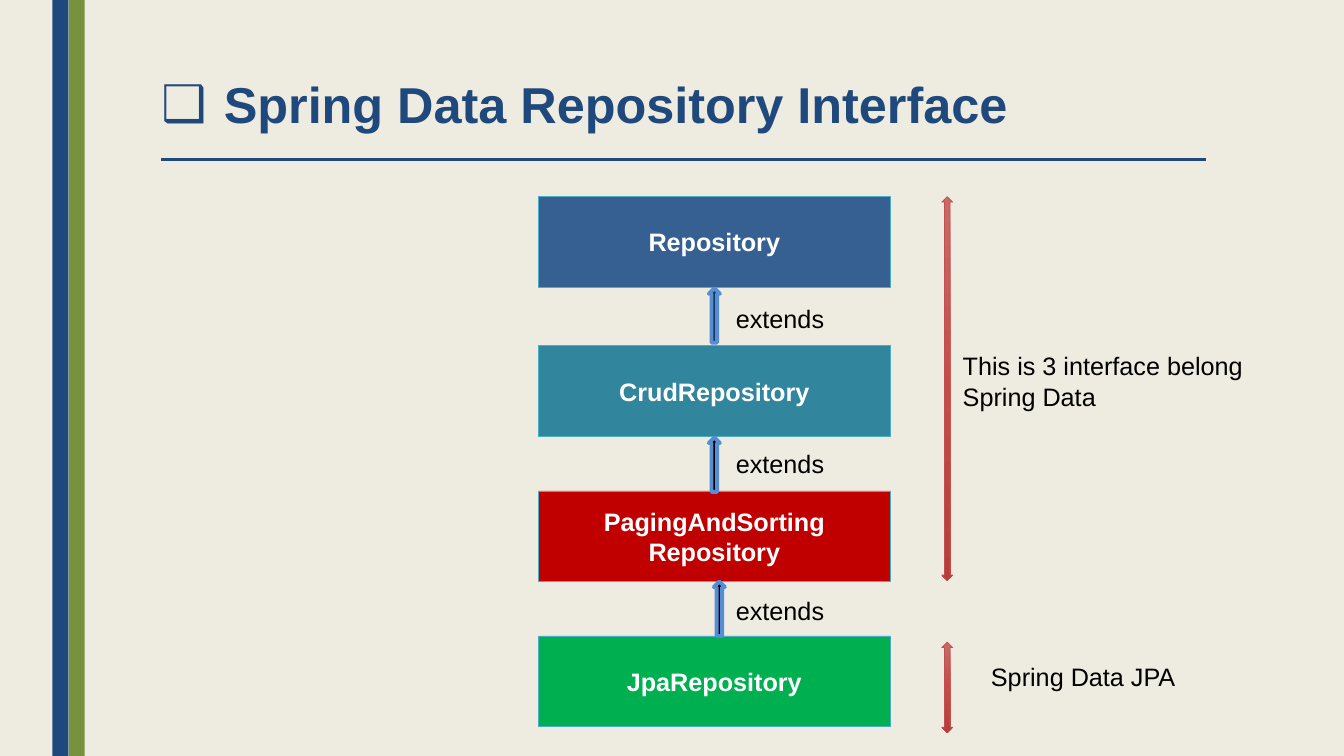
import copy
import dataclasses

import lxml.etree
import pptx
import pptx.dml.color
import pptx.enum.shapes
import pptx.enum.text
import pptx.oxml.ns
import pptx.util

PX = 9144  # 100 px to the inch
FONT = "Arial"
NAVY = "1F497D"
SHAPE = pptx.enum.shapes.MSO_SHAPE
ALIGN = pptx.enum.text.PP_ALIGN
ANCHOR = pptx.enum.text.MSO_ANCHOR


@dataclasses.dataclass
class Box:
    text: str
    top: int
    fill: str


@dataclasses.dataclass
class Link:
    left: int
    top: int
    label: int
    fill: str


@dataclasses.dataclass
class Span:
    top: int
    high: int
    text: str
    at: tuple[int, int, int, int]


BOXES = [
    Box("Repository", 195, "376092"),
    Box("CrudRepository", 343, "31859C"),
    Box("PagingAndSorting\nRepository", 487, "C00000"),
    Box("JpaRepository", 631, "00B050"),
]
LINKS = [
    Link(703, 286, 296, "17375E"),
    Link(703, 434, 440, "000000"),
    Link(708, 577, 586, "000000"),
]
SPANS = [
    Span(195, 381, "This is 3 interface belong Spring Data", (945, 343, 322, 71)),
    Span(637, 90, "Spring Data JPA", (973, 651, 248, 40)),
]


def color(code: str) -> pptx.dml.color.RGBColor:
    return pptx.dml.color.RGBColor.from_string(code)


def scale(*sides: int) -> list[int]:
    return [side * PX for side in sides]


def style(par, size: int, code: str, bold: bool = False) -> None:
    font = par.font
    font.name, font.size, font.bold = FONT, pptx.util.Pt(size), bold
    font.color.rgb = color(code)


def add_shape(slide, kind, at: tuple, fill: str, line: str = "", width: float = 0.5):
    shape = slide.shapes.add_shape(kind, *scale(*at))
    shape.shadow.inherit = False
    shape.fill.solid()
    shape.fill.fore_color.rgb = color(fill)
    if line:
        shape.line.color.rgb = color(line)
        shape.line.width = pptx.util.Pt(width)
    else:
        shape.line.fill.background()
    return shape


def add_text(slide, text: str, at: tuple) -> None:
    frame = slide.shapes.add_textbox(*scale(*at)).text_frame
    frame.word_wrap = True
    frame.text = text
    style(frame.paragraphs[0], 18, "000000")


def add_box(slide, box: Box) -> None:
    shape = add_shape(slide, SHAPE.RECTANGLE, (534, box.top, 349, 90), box.fill, "4BACC6")
    frame = shape.text_frame
    frame.text = box.text
    frame.vertical_anchor = ANCHOR.MIDDLE
    for par in frame.paragraphs:
        par.alignment = ALIGN.CENTER
        style(par, 18, "FFFFFF", True)


def add_link(slide, link: Link) -> None:
    add_shape(slide, SHAPE.UP_ARROW, (link.left, link.top, 11, 54), link.fill, "558ED5", 2.75)
    add_text(slide, "extends", (720, link.label, 109, 40))


def add_span(slide, span: Span) -> None:
    at = (934, span.top, 11, span.high)
    fill = add_shape(slide, SHAPE.UP_DOWN_ARROW, at, "C64B47", "C0504D").fill
    fill.gradient()
    fill.gradient_angle = 270
    stops = fill._fill._gradFill.gsLst
    stops.insert(1, copy.deepcopy(stops[0]))
    for stop, code, place in zip(fill.gradient_stops, ("C86A68", "C64B47", "B53D3A"), (0, 0.5, 1)):
        stop.color.rgb = color(code)
        stop.position = place
    add_text(slide, span.text, span.at)


def set_title(slide) -> None:
    title = slide.shapes.title
    title.left, title.top, title.width, title.height = scale(150, 75, 1050, 79)
    frame = title.text_frame
    frame.text = "Spring Data Repository Interface"
    frame.vertical_anchor = ANCHOR.TOP
    par = frame.paragraphs[0]
    par.alignment = ALIGN.JUSTIFY
    par.line_spacing = 0.89
    props = par._p.get_or_add_pPr()
    props.set("marL", str(62 * PX))
    props.set("indent", str(-62 * PX))
    for tag, key, value in (("a:buFont", "typeface", FONT), ("a:buChar", "char", "❑")):
        lxml.etree.SubElement(props, pptx.oxml.ns.qn(tag)).set(key, value)
    style(par, 36, NAVY, True)


def add_frame(slide) -> None:
    for left, fill in ((68, "76923C"), (52, NAVY)):
        add_shape(slide, SHAPE.RECTANGLE, (left, 0, 16, 750), fill)
    rule = slide.shapes.add_connector(
        pptx.enum.shapes.MSO_CONNECTOR.STRAIGHT, *scale(160, 158, 1196, 158))
    rule.line.color.rgb = color(NAVY)
    rule.line.width = pptx.util.Pt(2.25)
    lxml.etree.SubElement(rule._element.spPr, pptx.oxml.ns.qn("a:effectLst"))


def main() -> None:
    deck = pptx.Presentation()
    deck.slide_width, deck.slide_height = scale(1333, 750)
    slide = deck.slides.add_slide(deck.slide_layouts[5])
    slide.background.fill.solid()
    slide.background.fill.fore_color.rgb = color("EEECE1")

    # Side bars, rule and title
    add_frame(slide)
    set_title(slide)

    # Interface chain
    for box in BOXES:
        add_box(slide, box)
    for link in LINKS:
        add_link(slide, link)

    # Grouping arrows with their notes
    for span in SPANS:
        add_span(slide, span)

    deck.save("out.pptx")


if __name__ == "__main__":
    main()
